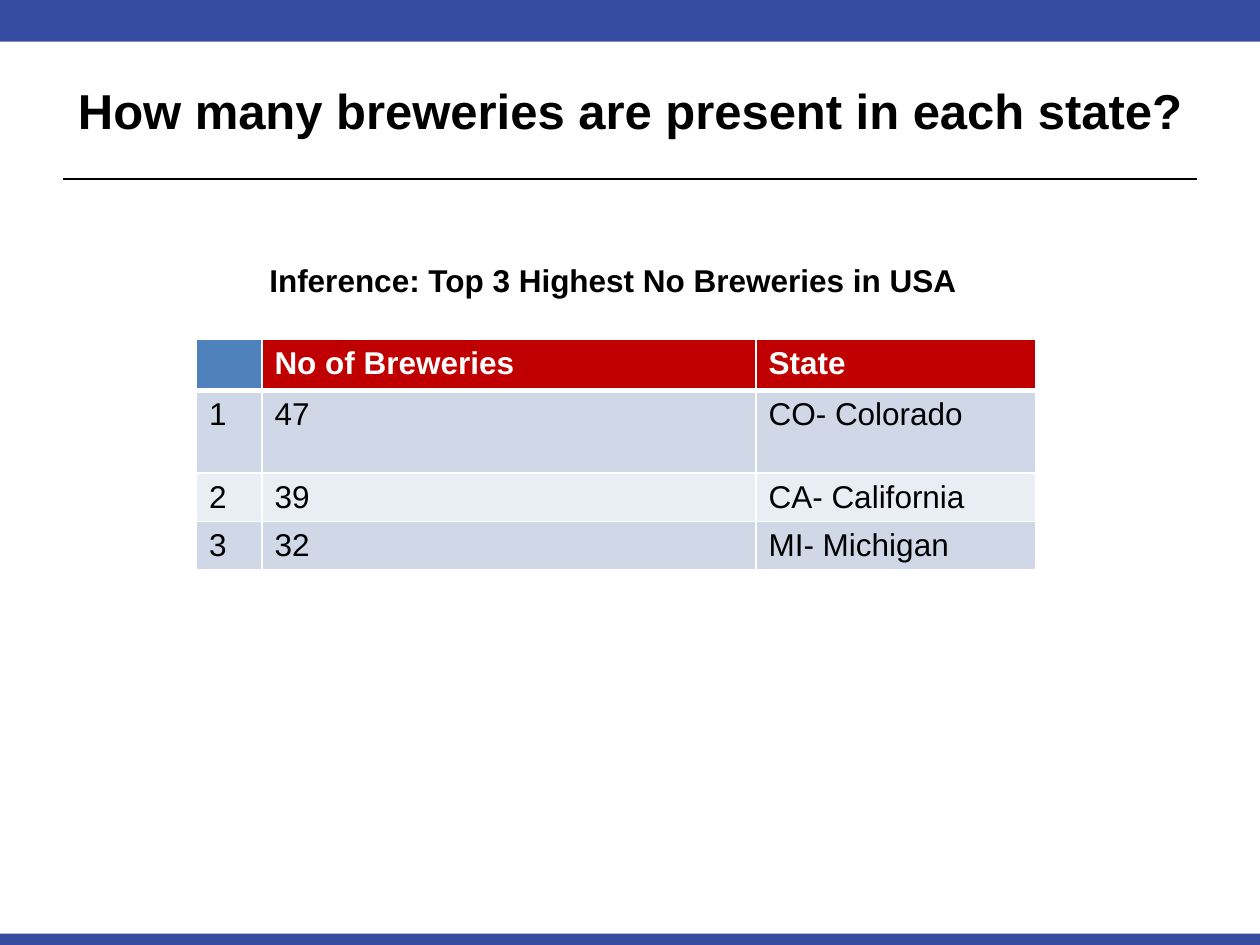
from lxml import etree
from pptx import Presentation
from pptx.dml.color import RGBColor
from pptx.enum.shapes import MSO_CONNECTOR, MSO_SHAPE
from pptx.enum.text import MSO_ANCHOR, PP_ALIGN
from pptx.oxml.ns import qn
from pptx.util import Cm, Pt

RECTANGLE = MSO_SHAPE.RECTANGLE
STRAIGHT = MSO_CONNECTOR.STRAIGHT
MIDDLE = MSO_ANCHOR.MIDDLE
LEFT, CENTER = PP_ALIGN.LEFT, PP_ALIGN.CENTER
TITLE_ONLY = 5

COLORS = {
    "band": "354CA1",
    "ink": "000000",
    "white": "FFFFFF",
    "corner": "4F81BD",
    "header": "C00000",
    "odd": "D0D8E8",
    "even": "E9EDF4",
}
ROWS = [
    ("", "No of Breweries", "State"),
    ("1", "47", "CO- Colorado"),
    ("2", "39", "CA- California"),
    ("3", "32", "MI- Michigan"),
]
COLUMN_WIDTHS = (1.32, 9.96, 5.64)
ROW_HEIGHTS = (0.97, 1.67, 0.97, 0.97)


def color(name):
    """Return the named colour."""
    return RGBColor.from_string(COLORS[name])


def write(frame, text, size=18, ink="ink", bold=False, align=LEFT):
    """Write one formatted paragraph into a text frame."""
    para = frame.paragraphs[0]
    para.alignment = align
    span = para.add_run()
    span.text = text
    span.font.name = "Arial"
    span.font.size = Pt(size)
    span.font.bold = bold
    span.font.color.rgb = color(ink)


def add_band(page, left, top, width, height):
    """Draw a plain coloured band."""
    band = page.shapes.add_shape(RECTANGLE, Cm(left), Cm(top), Cm(width), Cm(height))
    band.shadow.inherit = False
    band.fill.solid()
    band.fill.fore_color.rgb = color("band")
    band.line.fill.background()


def add_heading(page, left, top, width, height):
    """Place the title and the rule near the foot of its box."""
    title = page.shapes.title
    title.left, title.top, title.width, title.height = map(Cm, (left, top, width, height))
    title.text_frame.vertical_anchor = MIDDLE
    write(title.text_frame, "How many breweries are present in each state?",
          size=28, bold=True, align=CENTER)
    level = Cm(top + height - 0.2)
    rule = page.shapes.add_connector(STRAIGHT, Cm(left), level, Cm(left + width), level)
    rule.line.color.rgb = color("ink")
    rule.line.width = Pt(1.25)
    etree.SubElement(rule.element.spPr, qn("a:effectLst"))


def add_caption(page, left, top, width, height):
    """Place the statement above the table."""
    box = page.shapes.add_textbox(Cm(left), Cm(top), Cm(width), Cm(height))
    box.text_frame.word_wrap = False
    write(box.text_frame, "Inference: Top 3 Highest No Breweries in USA", bold=True)


def add_borders(cell, **widths):
    """Give a cell white borders with the widths listed by side."""
    properties = cell._tc.get_or_add_tcPr()
    for side, width in widths.items():
        line = etree.SubElement(properties, qn(f"a:ln{side}"), w=str(Pt(width)))
        fill = etree.SubElement(line, qn("a:solidFill"))
        etree.SubElement(fill, qn("a:srgbClr"), val=COLORS["white"])


def cell_fill(row, column):
    """Choose the fill for a cell by its position."""
    if row == 0:
        return "header" if column else "corner"
    return "odd" if row % 2 else "even"


def add_brewery_table(page, left, top):
    """Build the ranked table of breweries by state."""
    table = page.shapes.add_table(
        len(ROWS), len(COLUMN_WIDTHS), Cm(left), Cm(top),
        Cm(sum(COLUMN_WIDTHS)), Cm(sum(ROW_HEIGHTS))).table
    for column, width in zip(table.columns, COLUMN_WIDTHS):
        column.width = Cm(width)
    for row, height in zip(table.rows, ROW_HEIGHTS):
        row.height = Cm(height)
    for i, texts in enumerate(ROWS):
        for j, text in enumerate(texts):
            cell = table.cell(i, j)
            add_borders(cell, L=1, R=1, T=3 if i == 1 else 1, B=1 if i else 3)
            cell.fill.solid()
            cell.fill.fore_color.rgb = color(cell_fill(i, j))
            if text:
                write(cell.text_frame, text, ink="ink" if i else "white", bold=i == 0)


def main():
    """Build and save the slide."""
    deck = Presentation()
    deck.slide_width, deck.slide_height = Cm(25.4), Cm(19.05)
    page = deck.slides.add_slide(deck.slide_layouts[TITLE_ONLY])
    add_band(page, 0, 18.82, 25.4, 0.23)
    add_band(page, 0, 0, 25.4, 0.84)
    add_heading(page, 1.27, 0.64, 22.86, 3.17)
    add_brewery_table(page, 3.96, 6.84)
    add_caption(page, 5.18, 5.13, 14.5, 1.02)
    deck.save("out.pptx")


if __name__ == "__main__":
    main()
